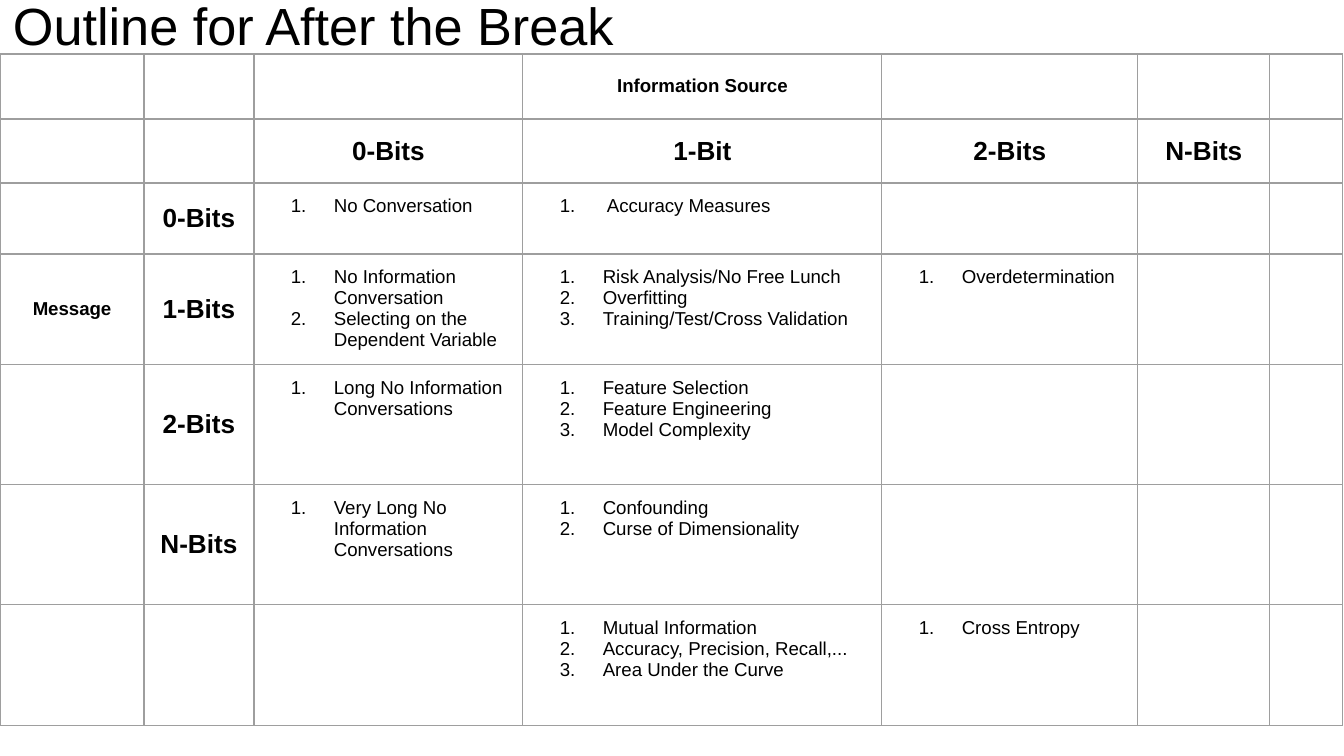
import pptx
import pptx.util
import pptx.dml.color
import pptx.enum.text
import pptx.oxml.ns
from lxml import etree

Pt = pptx.util.Pt
ALIGN = pptx.enum.text.PP_ALIGN
ANCHOR = pptx.enum.text.MSO_ANCHOR

# Content: a string is a heading, a list is a numbered list
TITLE = "Outline for After the Break"
SMALL = ("Information Source", "Message")
ROWS = [
    ["", "", "", "Information Source", "", "", ""],
    ["", "", "0-Bits", "1-Bit", "2-Bits", "N-Bits", ""],
    ["", "0-Bits", ["No Conversation"], [" Accuracy Measures"], "", "", ""],
    ["Message", "1-Bits",
     ["No Information Conversation", "Selecting on the Dependent Variable"],
     ["Risk Analysis/No Free Lunch", "Overfitting",
      "Training/Test/Cross Validation"],
     ["Overdetermination"], "", ""],
    ["", "2-Bits", ["Long No Information Conversations"],
     ["Feature Selection", "Feature Engineering", "Model Complexity"],
     "", "", ""],
    ["", "N-Bits", ["Very Long No Information Conversations"],
     ["Confounding", "Curse of Dimensionality"], "", "", ""],
    ["", "", "",
     ["Mutual Information", "Accuracy, Precision, Recall,...",
      "Area Under the Curve"],
     ["Cross Entropy"], "", ""],
]
WIDTHS = [144, 110, 269, 359, 256, 132, 73]
HEIGHTS = [65, 64, 71, 111, 120, 120, 121]
COLORS = {"text": "000000", "grid": "9E9E9E"}
FONT = "Arial"
PAD = 13
INDENT, HANG = 67, 43


def px(n):
    return round(n * 914400 / 134.4)


def style(para, size, bold=False):
    for run in para.runs:
        font = run.font
        font.name, font.size, font.bold = FONT, Pt(size), bold
        font.color.rgb = pptx.dml.color.RGBColor.from_string(COLORS["text"])


def pad(box):
    box.margin_left = box.margin_right = px(PAD)
    box.margin_top = box.margin_bottom = px(PAD)


def sub(node, tag, **attrs):
    return etree.SubElement(node, pptx.oxml.ns.qn(tag), **attrs)


def border(cell):
    props = cell._tc.get_or_add_tcPr()
    for side in "LRTB":
        line = sub(props, "a:ln" + side, w=str(Pt(0.75)))
        fill = sub(line, "a:solidFill")
        sub(fill, "a:srgbClr", val=COLORS["grid"])


def number(para):
    props = para._p.get_or_add_pPr()
    props.set("marL", str(px(INDENT)))
    props.set("indent", str(-px(HANG)))
    color = sub(props, "a:buClr")
    sub(color, "a:srgbClr", val=COLORS["text"])
    sub(props, "a:buFont", typeface=FONT)
    sub(props, "a:buAutoNum", type="arabicPeriod")


def write(cell, item):
    pad(cell)
    frame = cell.text_frame
    if isinstance(item, list):
        frame.text = "\n".join(item)
        for para in frame.paragraphs:
            number(para)
            style(para, 10)
    else:
        frame.text = item
        cell.vertical_anchor = ANCHOR.MIDDLE
        para = frame.paragraphs[0]
        para.alignment = ALIGN.CENTER
        style(para, 10 if item in SMALL else 14, True)


deck = pptx.Presentation()
deck.slide_width, deck.slide_height = px(1344), px(756)
slide = deck.slides.add_slide(deck.slide_layouts[6])

# Table
grid = slide.shapes.add_table(
    len(ROWS), len(WIDTHS), 0, px(54), px(sum(WIDTHS)), px(sum(HEIGHTS))).table
grid.first_row = grid.horz_banding = False
for col, width in zip(grid.columns, WIDTHS):
    col.width = px(width)
for row, height, items in zip(grid.rows, HEIGHTS, ROWS):
    row.height = px(height)
    for cell, item in zip(row.cells, items):
        border(cell)
        cell.fill.background()
        if item:
            write(cell, item)

# Title
title = slide.shapes.add_textbox(0, px(-13), px(763), px(75)).text_frame
title.word_wrap = True
title.vertical_anchor = ANCHOR.MIDDLE
pad(title)
title.text = TITLE
style(title.paragraphs[0], 28)

deck.save("out.pptx")
